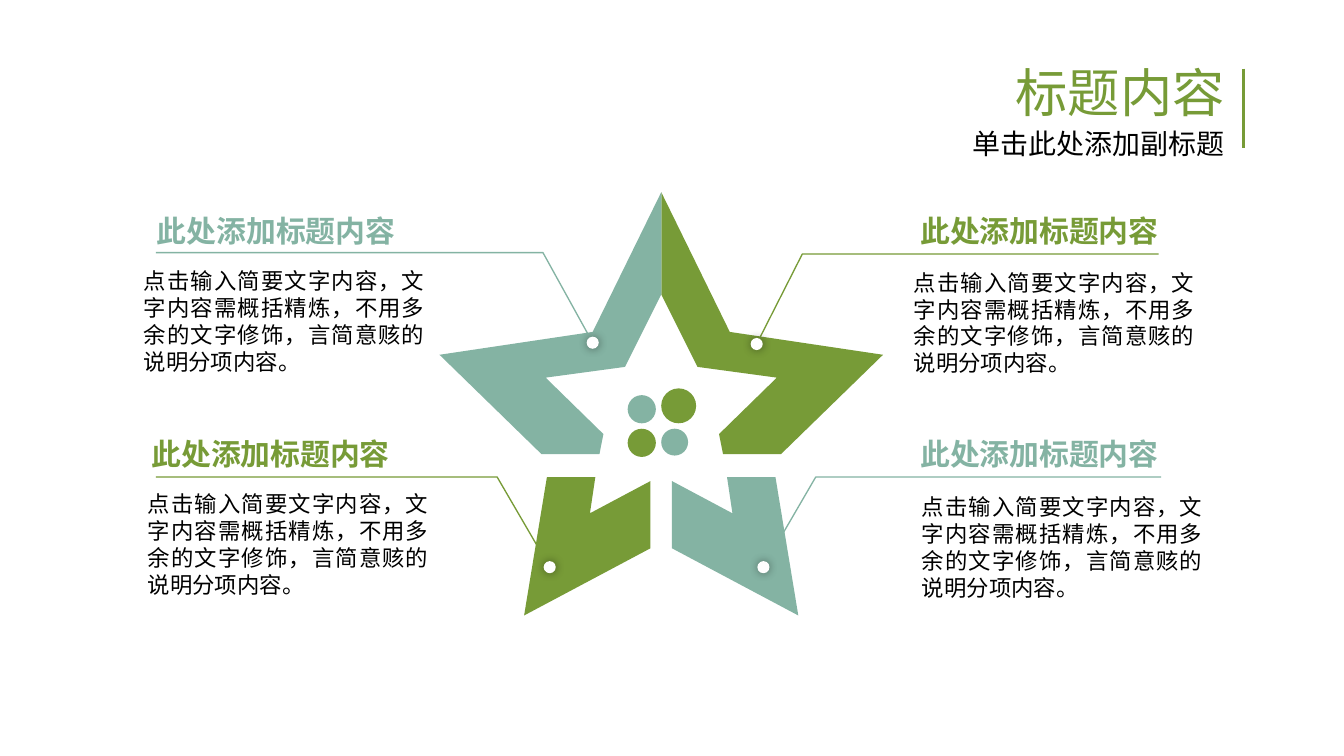
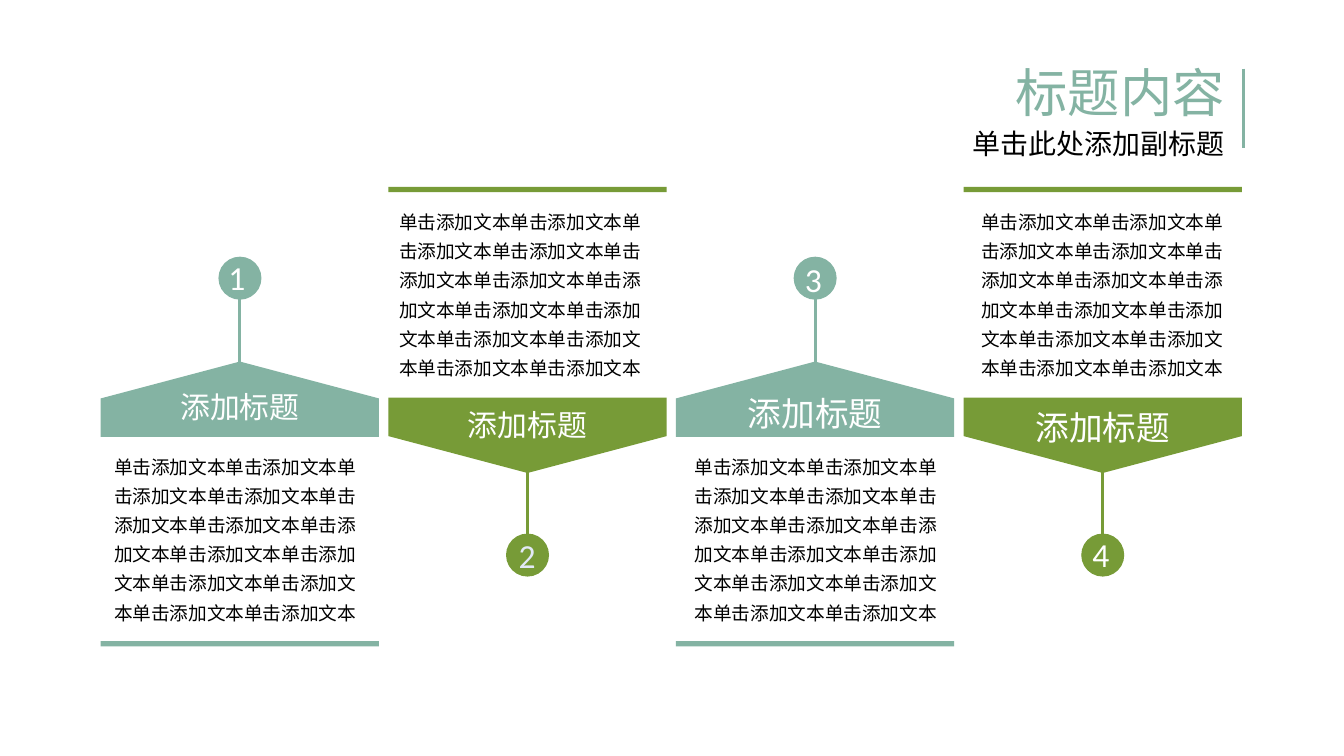
"""Build two slides: a four-part star and a row of four numbered arrows."""
from lxml import etree
from pptx import Presentation
from pptx.dml.color import RGBColor
from pptx.enum.shapes import MSO_CONNECTOR, MSO_SHAPE
from pptx.enum.text import MSO_ANCHOR, MSO_AUTO_SIZE, PP_ALIGN
from pptx.oxml import parse_xml
from pptx.oxml.ns import nsdecls, qn
from pptx.util import Inches, Pt

GREEN, SAGE, WHITE, BLACK = "779B37", "84B3A3", "FFFFFF", "000000"
FONT = "Calibri"
TIGHT = (0.07, 0.04)
rgb = RGBColor.from_string


def write(sp, box, text, size=12, color=BLACK, bold=False, align=PP_ALIGN.LEFT,
          spacing=1.0, inset=(0.1, 0.05), wrap=True):
    sp.left, sp.top, sp.width, sp.height = [Inches(v) for v in box]
    tf = sp.text_frame
    tf.auto_size = MSO_AUTO_SIZE.NONE
    tf.word_wrap = wrap
    tf.vertical_anchor = MSO_ANCHOR.TOP
    tf.margin_left = tf.margin_right = Inches(inset[0])
    tf.margin_top = tf.margin_bottom = Inches(inset[1])
    p = tf.paragraphs[0]
    p.alignment = align
    p.line_spacing = spacing
    p.space_before = Pt(0)
    r = p.add_run()
    r.text = text
    r.font.name, r.font.size, r.font.bold = FONT, Pt(size), bold
    r.font.color.rgb = rgb(color)


def paint(sp, fill=None, line=None, width=0.7):
    if hasattr(sp, "fill"):
        sp.shadow.inherit = False
        if fill:
            sp.fill.solid()
            sp.fill.fore_color.rgb = rgb(fill)
        else:
            sp.fill.background()
    else:
        etree.SubElement(sp._element.spPr, qn("a:effectLst"))
    if line:
        sp.line.color.rgb = rgb(line)
        sp.line.width = Pt(width)
    else:
        sp.line.fill.background()


prs = Presentation()
prs.slide_width, prs.slide_height = Inches(10), Inches(10 * 9 / 16)

slides = []
for color in (GREEN, SAGE):
    s = prs.slides.add_slide(prs.slide_layouts[0])
    write(s.shapes.title, (5.39, 0.45, 3.82, 0.5), "标题内容", size=28,
          color=color, align=PP_ALIGN.RIGHT, spacing=0.9)
    write(s.placeholders[1], (5.39, 0.92, 3.82, 0.4), "单击此处添加副标题", size=15,
          align=PP_ALIGN.RIGHT, spacing=0.9)
    rule = s.shapes.add_connector(MSO_CONNECTOR.STRAIGHT, Inches(9.25), Inches(0.51),
                                  Inches(9.25), Inches(1.1))
    paint(rule, line=color, width=1.5)
    slides.append(s)
star, arrows = slides

# Star
CENTER = 4.92
lower = [(5, 3.58), (5, 4.08), (5.94, 4.58), (5.77, 3.55), (5.41, 3.55), (5.45, 3.82)]
upper = [(5.43, 2.47), (4.92, 1.43), (4.92, 2.19), (5.19, 2.73), (5.78, 2.81),
         (5.35, 3.23), (5.38, 3.38), (5.81, 3.38), (6.57, 2.64)]
for points, right, left in ((lower, SAGE, GREEN), (upper, GREEN, SAGE)):
    mirrored = [(2 * CENTER - x, y) for x, y in points]
    for outline, color in ((points, right), (mirrored, left)):
        pts = [(Inches(x), Inches(y)) for x, y in outline]
        builder = star.shapes.build_freeform(*pts[0])
        builder.add_line_segments(pts[1:], close=True)
        paint(builder.convert_to_shape(), fill=color)

for x, y, size, color in ((4.67, 2.94, 0.21, SAGE), (4.92, 2.89, 0.26, GREEN),
                          (4.67, 3.19, 0.21, GREEN), (4.92, 3.19, 0.2, SAGE)):
    sp = star.shapes.add_shape(MSO_SHAPE.OVAL, Inches(x), Inches(y),
                               Inches(size), Inches(size))
    paint(sp, fill=color)

NOTE = "点击输入简要文字内容，文字内容需概括精炼，不用多余的文字修饰，言简意赅的说明分项内容。"
callouts = [
    (SAGE, (1.07, 1.4, 2.16), (1, 1.95), [(4.41, 2.55), (4.04, 1.88), (1.16, 1.88)]),
    (GREEN, (6.75, 1.4, 2.06), (6.73, 1.96), [(5.63, 2.56), (5.97, 1.89), (8.62, 1.89)]),
    (SAGE, (6.75, 3.06, 2.06), (6.79, 3.63), [(5.68, 4.22), (6.07, 3.55), (8.64, 3.55)]),
    (GREEN, (1.03, 3.06, 2.16), (1.03, 3.61), [(4.09, 4.22), (3.7, 3.55), (1.16, 3.55)]),
]
DOT = 0.09
for color, heading, note, leader in callouts:
    write(star.shapes.add_textbox(0, 0, 0, 0), (*heading, 0.5), "此处添加标题内容",
          size=16, color=color, bold=True, spacing=1.5)
    pts = [(Inches(x), Inches(y)) for x, y in leader]
    builder = star.shapes.build_freeform(*pts[0])
    builder.add_line_segments(pts[1:], close=False)
    sp = builder.convert_to_shape()
    paint(sp, line=color)
    etree.SubElement(sp.line._get_or_add_ln(), qn("a:headEnd"), type="oval")
    x, y = leader[0]
    dot = star.shapes.add_shape(MSO_SHAPE.OVAL, Inches(x - DOT / 2), Inches(y - DOT / 2),
                                Inches(DOT), Inches(DOT))
    paint(dot, fill=WHITE)
    dot._element.spPr.find(qn("a:effectLst")).append(parse_xml(
        f'<a:outerShdw {nsdecls("a")} blurRad="{Pt(5)}" dist="0" dir="0" algn="ctr">'
        f'<a:srgbClr val="{BLACK}"><a:alpha val="40000"/></a:srgbClr></a:outerShdw>'))
    write(star.shapes.add_textbox(0, 0, 0, 0), (*note, 2.23, 0.88), NOTE,
          align=PP_ALIGN.JUSTIFY, inset=TIGHT)

# Arrows
PITCH, WIDTH, DEPTH, BADGE = 2.14, 2.07, 0.56, 0.32
columns = [
    ("1", WHITE, (1.6, 1.86, 0.28), 2.87, 16, 0.78),
    ("2", "E2E9F6", (3.76, 3.93, 0.32), 3.01, 16, 2.9),
    ("3", WHITE, (5.89, 1.88, 0.31), 2.91, 18, 5.1),
    ("4", WHITE, (8.03, 3.92, 0.32), 3.01, 18, 7.23),
]
for i, (number, ink, number_box, label_top, label_size, body_left) in enumerate(columns):
    left = 0.75 + PITCH * i
    center = left + WIDTH / 2
    if i % 2 == 0:
        color, rotation, middle, bar_top, body_top = SAGE, 270, 2.97, 4.77, 3.3
        stem, badge_top = (2.19, 2.82), 1.91
    else:
        color, rotation, middle, bar_top, body_top = GREEN, 90, 3.24, 1.39, 1.48
        stem, badge_top = (4.02, 3.39), 3.97

    line = arrows.shapes.add_connector(MSO_CONNECTOR.STRAIGHT, Inches(center),
                                       Inches(stem[0]), Inches(center), Inches(stem[1]))
    paint(line, line=color, width=1.5)
    for kind, x, y, w, h in (
            (MSO_SHAPE.OVAL, center - BADGE / 2, badge_top, BADGE, BADGE),
            (MSO_SHAPE.RECTANGLE, left, bar_top, WIDTH, 0.04),
            (MSO_SHAPE.PENTAGON, center - DEPTH / 2, middle - WIDTH / 2, DEPTH, WIDTH)):
        sp = arrows.shapes.add_shape(kind, Inches(x), Inches(y), Inches(w), Inches(h))
        paint(sp, fill=color)
        if kind == MSO_SHAPE.PENTAGON:
            sp.adjustments[0] = 0.49
            sp.rotation = rotation
    write(arrows.shapes.add_textbox(0, 0, 0, 0), (*number_box, 0.4), number,
          size=18, color=ink, wrap=False)
    write(arrows.shapes.add_textbox(0, 0, 0, 0), (center - 0.87, label_top, 1.74, 0.36),
          "添加标题", size=label_size, color=WHITE, align=PP_ALIGN.CENTER, spacing=0.9)
    write(arrows.shapes.add_textbox(0, 0, 0, 0), (body_left, body_top, 2.06, 1.39),
          "单击添加文本" * 13, size=10, spacing=1.3, inset=TIGHT)

prs.save("out.pptx")
